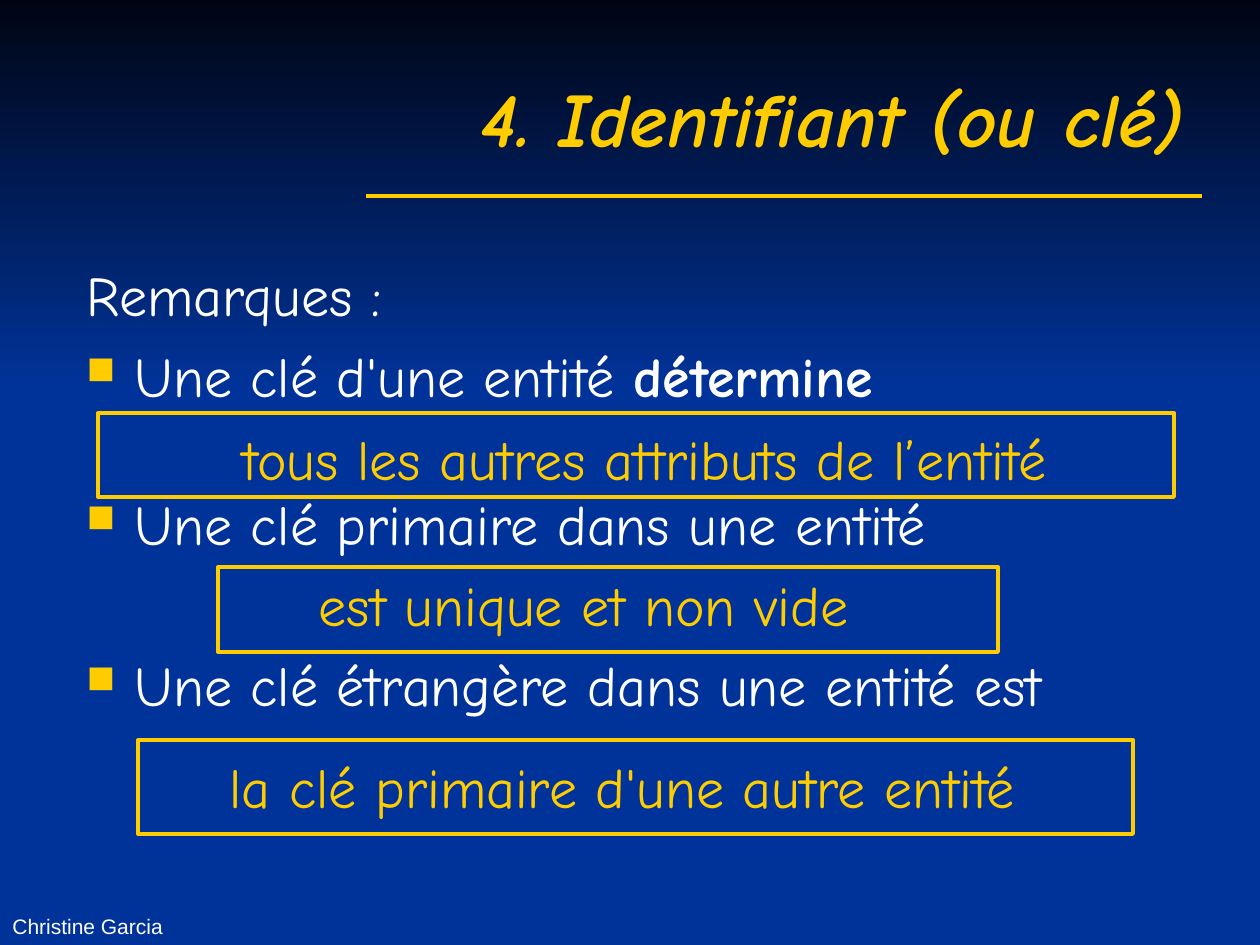
import pptx
import pptx.util
import pptx.dml.color
import pptx.enum.shapes
import pptx.enum.text
import pptx.oxml.xmlchemy

PIXEL = 914400 // 126
COLORS = {"night": "000514", "blue": "003399", "gold": "FFCC00", "white": "FFFFFF"}
ALIGN = pptx.enum.text.PP_ALIGN
ANCHOR = pptx.enum.text.MSO_ANCHOR
HANGING = 48
ANSWERS = [
    ("tous les autres attributs de l’entité", (228, 418, 834, 81), (98, 413, 1076, 84)),
    ("est unique et non vide", (306, 564, 556, 81), (218, 567, 780, 85)),
    ("la clé primaire d'une autre entité", (215, 746, 815, 81), (138, 740, 995, 94)),
]
REMARKS = [
    ([("Remarques :", False)], 0, False),
    ([("Une clé d'une entité ", False), ("détermine", True)], 8, True),
    ([("Une clé primaire dans une entité", False)], 46, True),
    ([("Une clé étrangère dans une entité est", False)], 54, True),
]


def px(*lengths):
    return [length * PIXEL for length in lengths]


def color(name):
    return pptx.dml.color.RGBColor.from_string(COLORS[name])


def make_element(tag, **attributes):
    element = pptx.oxml.xmlchemy.OxmlElement(tag)
    for name, value in attributes.items():
        element.set(name, value)
    return element


def add_span(para, text, size=32, font="Comic Neue", tint="white", bold=False, italic=False):
    span = para.add_run()
    span.text = text
    span.font.size = pptx.util.Pt(size)
    span.font.name = font
    span.font.color.rgb = color(tint)
    span.font.bold = bold
    span.font.italic = italic


def add_frame(page, place, anchor=ANCHOR.MIDDLE, wrap=True):
    frame = page.shapes.add_textbox(*px(*place)).text_frame
    frame.word_wrap = wrap
    frame.vertical_anchor = anchor
    return frame


def add_text(page, text, place, align=ALIGN.LEFT, anchor=ANCHOR.MIDDLE, wrap=True, **style):
    para = add_frame(page, place, anchor, wrap).paragraphs[0]
    para.alignment = align
    add_span(para, text, **style)


def add_rectangle(page, place):
    box = page.shapes.add_shape(pptx.enum.shapes.MSO_SHAPE.RECTANGLE, *px(*place))
    box.shadow.inherit = False
    return box


def add_gradient(page, place):
    band = add_rectangle(page, place)
    band.line.fill.background()
    band.fill.gradient()
    band.fill.gradient_angle = 270
    for stop, position, name in zip(band.fill.gradient_stops, (0, 1), ("night", "blue")):
        stop.position = position
        stop.color.rgb = color(name)


def add_outline(page, place):
    outline = add_rectangle(page, place)
    outline.fill.background()
    outline.line.color.rgb = color("gold")
    outline.line.width = pptx.util.Pt(2.25)


def add_rule(page, left, right, height):
    rule = page.shapes.add_connector(
        pptx.enum.shapes.MSO_CONNECTOR.STRAIGHT, *px(left, height, right, height))
    rule.line.color.rgb = color("gold")
    rule.line.width = pptx.util.Pt(2)
    rule._element.spPr.append(make_element("a:effectLst"))


def add_bullet(properties):
    tint = make_element("a:buClr")
    tint.append(make_element("a:srgbClr", val=COLORS["gold"]))
    size = make_element("a:buSzPct", val="70000")
    properties.extend([tint, size, make_element("a:buChar", char="■")])


def add_remarks(page, place):
    frame = add_frame(page, place, ANCHOR.TOP)
    for index, (spans, space, bulleted) in enumerate(REMARKS):
        para = frame.add_paragraph() if index else frame.paragraphs[0]
        if space:
            para.space_before = pptx.util.Pt(space)
        properties = para._p.get_or_add_pPr()
        properties.set("marL", str(HANGING * PIXEL))
        properties.set("indent", str(-HANGING * PIXEL))
        if bulleted:
            add_bullet(properties)
        for text, bold in spans:
            add_span(para, text, bold=bold)


def main():
    deck = pptx.Presentation()
    deck.slide_width, deck.slide_height = px(1260, 945)
    page = deck.slides.add_slide(deck.slide_layouts[6])
    page.background.fill.solid()
    page.background.fill.fore_color.rgb = color("blue")
    add_gradient(page, (0, 0, 1260, 389))
    add_rule(page, 366, 1202, 196)
    add_text(page, "4. Identifiant (ou clé)", (63, 38, 1134, 157), align=ALIGN.RIGHT,
             size=44, tint="gold", bold=True, italic=True)
    add_remarks(page, (74, 254, 1134, 566))
    for text, place, outline in ANSWERS:
        add_text(page, text, place, align=ALIGN.CENTER, wrap=False, tint="gold")
        add_outline(page, outline)
    add_text(page, "Christine Garcia", (0, 879, 400, 66), anchor=ANCHOR.BOTTOM,
             size=12, font="Arial")
    deck.save("out.pptx")


if __name__ == "__main__":
    main()
